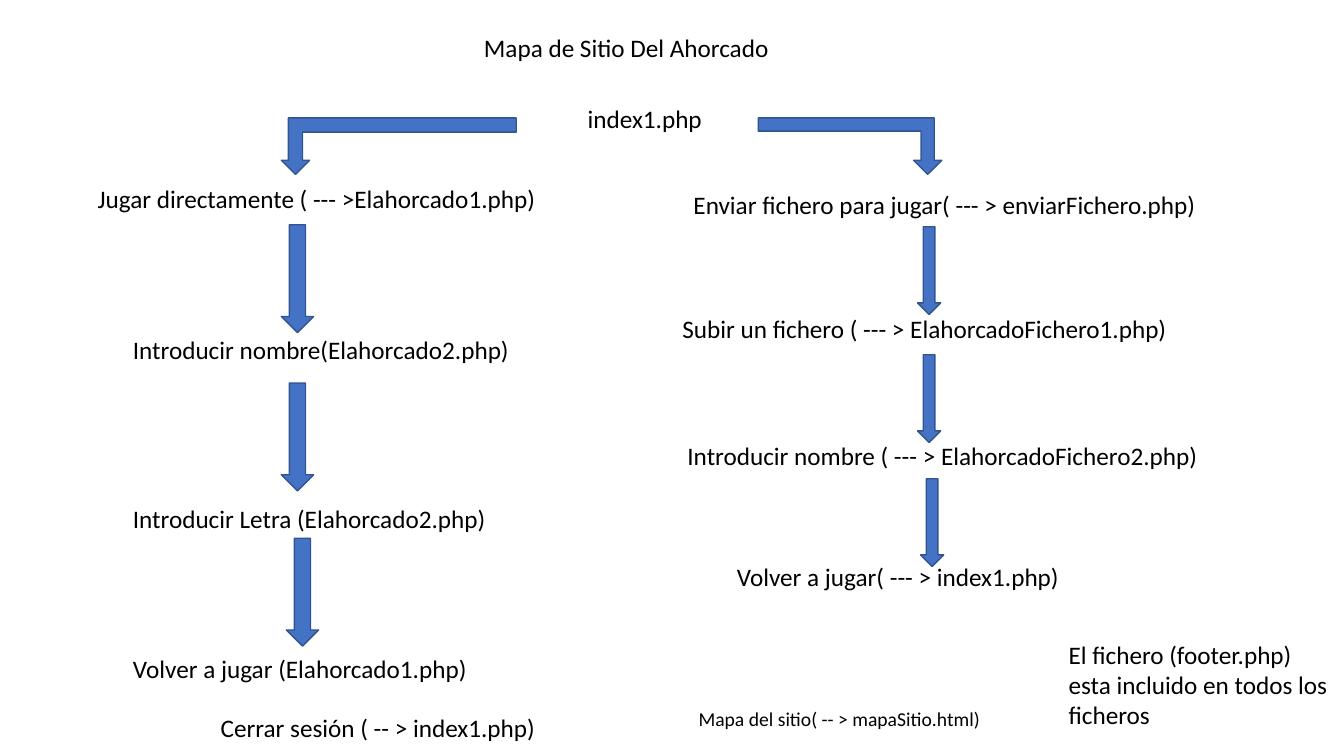
from dataclasses import dataclass

from pptx import Presentation
from pptx import util as u
from pptx.dml.color import RGBColor
from pptx.enum import shapes, text
from pptx.oxml.ns import qn


@dataclass(frozen=True)
class Theme:
    font: str = "Calibri"
    ink: RGBColor = RGBColor(0x00, 0x00, 0x00)
    arrow_fill: RGBColor = RGBColor(0x44, 0x72, 0xC4)
    arrow_line: RGBColor = RGBColor(0x32, 0x54, 0x91)
    line_width: float = 1
    body_size: int = 18
    small_size: int = 14


class SiteMap:
    def __init__(self, prs, theme):
        self.theme = theme
        self.slide = prs.slides.add_slide(prs.slide_layouts[5])

    def set_text(self, sp, words, size):
        tf = sp.text_frame
        tf.word_wrap = True
        tf.auto_size = text.MSO_AUTO_SIZE.SHAPE_TO_FIT_TEXT
        tf.vertical_anchor = text.MSO_ANCHOR.TOP
        p = tf.paragraphs[0]
        p.text = words
        p.alignment = text.PP_ALIGN.LEFT
        p.font.name = self.theme.font
        p.font.size = u.Pt(size)
        p.font.color.rgb = self.theme.ink

    def title(self, words, left, top, width, height):
        sp = self.slide.shapes.title
        sp.left, sp.top = u.Inches(left), u.Inches(top)
        sp.width, sp.height = u.Inches(width), u.Inches(height)
        self.set_text(sp, words, self.theme.body_size)

    def label(self, words, left, top, width, height=0.4, size=None):
        sp = self.slide.shapes.add_textbox(*map(u.Inches, (left, top, width, height)))
        self.set_text(sp, words, size or self.theme.body_size)

    def arrow(self, kind, left, top, width, height):
        sp = self.slide.shapes.add_shape(
            kind, *map(u.Inches, (left, top, width, height)))
        sp.shadow.inherit = False
        sp.fill.solid()
        sp.fill.fore_color.rgb = self.theme.arrow_fill
        sp.line.color.rgb = self.theme.arrow_line
        sp.line.width = u.Pt(self.theme.line_width)
        return sp

    def down_arrow(self, left, top, width, height):
        self.arrow(shapes.MSO_SHAPE.DOWN_ARROW, left, top, width, height)

    def branch_arrow(self, left, width, to_right=False):
        """Bent arrow from the index page down to one of the two columns."""
        sp = self.arrow(shapes.MSO_SHAPE.BENT_UP_ARROW, left, 1.17, width, 0.56)
        sp.rotation = 180
        if to_right:
            sp.adjustments[0] = 0.233
            sp._element.spPr.find(qn("a:xfrm")).set("flipH", "1")


PAGES = [
    ("index1.php", 5.73, 0.98, 1.48),
    ("Jugar directamente ( --- >Elahorcado1.php)", 0.87, 1.77, 4.71),
    ("Introducir nombre(Elahorcado2.php)", 1.22, 3.27, 4.36),
    ("Introducir Letra (Elahorcado2.php)", 1.22, 4.94, 4.36),
    ("Volver a jugar (Elahorcado1.php)", 1.22, 6.43, 4.36),
    ("Cerrar sesión ( -- > index1.php)", 2.09, 7.02, 3.85),
    ("Enviar fichero para jugar( --- > enviarFichero.php)", 6.78, 1.83, 5.86),
    ("Subir un fichero ( --- > ElahorcadoFichero1.php)", 6.67, 3.06, 5.44),
    ("Introducir nombre ( --- > ElahorcadoFichero2.php)", 6.72, 4.32, 5.33),
    ("Volver a jugar( --- > index1.php)", 7.21, 5.52, 4.36),
]
# Arrow width and height of each column, then the left and top of its arrows
COLUMNS = [
    (0.32, 1.07, [(2.79, 2.23), (2.79, 3.8), (2.84, 5.34)]),
    (0.23, 0.87, [(9.1, 2.25), (9.1, 3.52), (9.13, 4.75)]),
]


def main():
    prs = Presentation()
    prs.slide_width, prs.slide_height = u.Inches(13.33), u.Inches(7.5)
    theme = Theme()
    site = SiteMap(prs, theme)

    site.title("Mapa de Sitio Del Ahorcado", 4.7, 0.27, 4.36, 0.4)
    for words, left, top, width in PAGES:
        site.label(words, left, top, width)

    site.branch_arrow(2.79, 2.33)
    site.branch_arrow(7.52, 1.82, to_right=True)
    for width, height, places in COLUMNS:
        for left, top in places:
            site.down_arrow(left, top, width, height)

    site.label("El fichero (footer.php) esta incluido en todos los ficheros",
               10.5, 6.29, 2.84, height=1.01)
    site.label("Mapa del sitio( -- > mapaSitio.html)",
               6.83, 6.96, 3.3, height=0.34, size=theme.small_size)
    prs.save("out.pptx")


if __name__ == "__main__":
    main()
